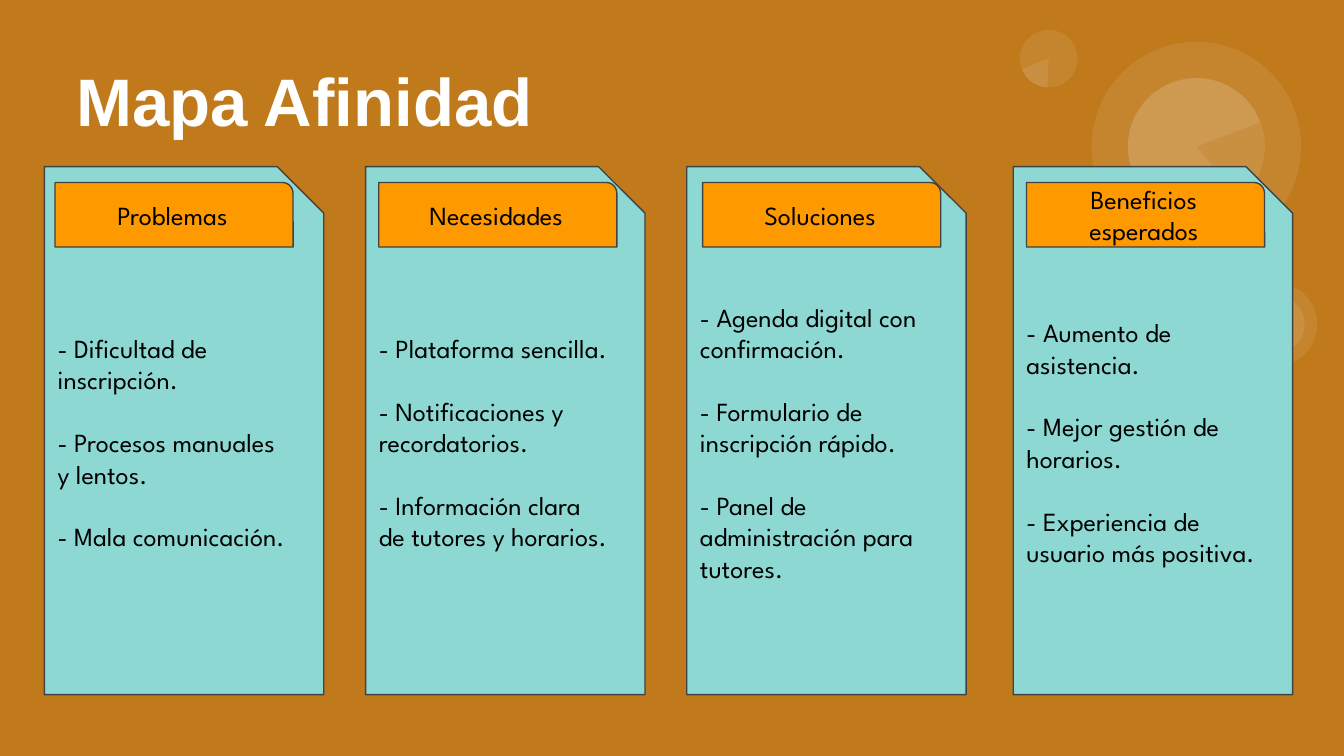
from lxml.etree import SubElement
from pptx import Presentation
from pptx.dml.color import RGBColor
from pptx.enum.shapes import MSO_SHAPE
from pptx.enum.text import MSO_ANCHOR, PP_ALIGN
from pptx.oxml.ns import qn
from pptx.util import Cm, Pt

# Content: card left edge in cm, heading, points
TITLE = "Mapa Afinidad"
COLUMNS = [
    (0.84, "Problemas", [
        "- Dificultad de inscripción.",
        "- Procesos manuales y lentos.",
        "- Mala comunicación."]),
    (6.91, "Necesidades", [
        "- Plataforma sencilla.",
        "- Notificaciones y recordatorios.",
        "- Información clara de tutores y horarios."]),
    (12.98, "Soluciones", [
        "- Agenda digital con confirmación.",
        "- Formulario de inscripción rápido.",
        "- Panel de administración para tutores."]),
    (19.15, "Beneficios esperados", [
        "- Aumento de asistencia.",
        "- Mejor gestión de horarios.",
        "- Experiencia de usuario más positiva."]),
]

# Decoration: centre x, centre y, diameter (cm), rotation, pie angles or None
BUBBLES = [
    (22.61, 2.77, 2.59, 215.9, None),
    (22.61, 2.77, 2.59, 215.9, (193.77, 123.14)),
    (22.61, 2.77, 3.96, 215.8, None),
    (24.11, 6.13, 1.57, 35.9, None),
    (24.11, 6.13, 1.09, 35.8, None),
    (24.11, 6.13, 1.09, 35.8, (57, 123.14)),
    (19.82, 1.11, 1.09, 35.8, None),
    (19.82, 1.11, 1.09, 35.8, (57, 123.14)),
]
BUBBLE_ALPHA = 9
BODY_FONT, BODY_SIZE = "League Spartan", 14
BLANK_LINE = 16.8
TAB_LEFT, TAB_STEP = 1.04, 6.12


def color(hex_code):
    return RGBColor.from_string(hex_code)


def write(box, lines, font, size, ink, bold=False, align=PP_ALIGN.LEFT):
    frame = box.text_frame
    frame.text = "\n".join(lines)
    frame.word_wrap = True
    frame.vertical_anchor = MSO_ANCHOR.MIDDLE
    frame.margin_left = frame.margin_right = Cm(0.25)
    frame.margin_top = frame.margin_bottom = Cm(0.25)
    for index, paragraph in enumerate(frame.paragraphs):
        paragraph.alignment = align
        if index:
            paragraph.space_before = Pt(BLANK_LINE)
        for run in paragraph.runs:
            run.font.name = font
            run.font.size = Pt(size)
            run.font.bold = bold
            run.font.color.rgb = color(ink)


def add_panel(kind, left, top, width, height, fill):
    panel = slide.shapes.add_shape(kind, Cm(left), Cm(top), Cm(width), Cm(height))
    panel.shadow.inherit = False
    panel.fill.solid()
    panel.fill.fore_color.rgb = color(fill)
    return panel


def outline(panel):
    panel.line.color.rgb = color("424242")
    panel.line.width = Pt(0.75)


presentation = Presentation()
presentation.slide_width, presentation.slide_height = Cm(25.4), Cm(14.29)
slide = presentation.slides.add_slide(presentation.slide_layouts[6])
slide.background.fill.solid()
slide.background.fill.fore_color.rgb = color("C0791B")

# Translucent bubbles
for x, y, diameter, rotation, angles in BUBBLES:
    kind = MSO_SHAPE.PIE if angles else MSO_SHAPE.OVAL
    bubble = add_panel(kind, x - diameter / 2, y - diameter / 2,
                       diameter, diameter, "FFFFFF")
    bubble.line.fill.background()
    bubble.rotation = rotation
    for index, angle in enumerate(angles or ()):
        bubble.adjustments[index] = angle * 0.6  # 60000 units per degree
    tint = bubble.fill._xPr.find(qn("a:solidFill"))[0]
    SubElement(tint, qn("a:alpha")).set("val", str(BUBBLE_ALPHA * 1000))

# Title
title = slide.shapes.add_textbox(Cm(1.19), Cm(0.61), Cm(12.78), Cm(2.54))
write(title, [TITLE], "Arial", 36, "FFFFFF", bold=True)

# Cards with their heading tabs
for index, (card_left, heading, points) in enumerate(COLUMNS):
    card = add_panel(MSO_SHAPE.SNIP_1_RECTANGLE, card_left, 3.15, 5.28, 9.98, "8DD8D3")
    outline(card)
    write(card, points, BODY_FONT, BODY_SIZE, "000000")
    tab = add_panel(MSO_SHAPE.ROUND_1_RECTANGLE, TAB_LEFT + index * TAB_STEP, 3.45,
                    4.5, 1.22, "FF9900")
    outline(tab)
    write(tab, [heading], BODY_FONT, BODY_SIZE, "000000", align=PP_ALIGN.CENTER)

presentation.save("out.pptx")
